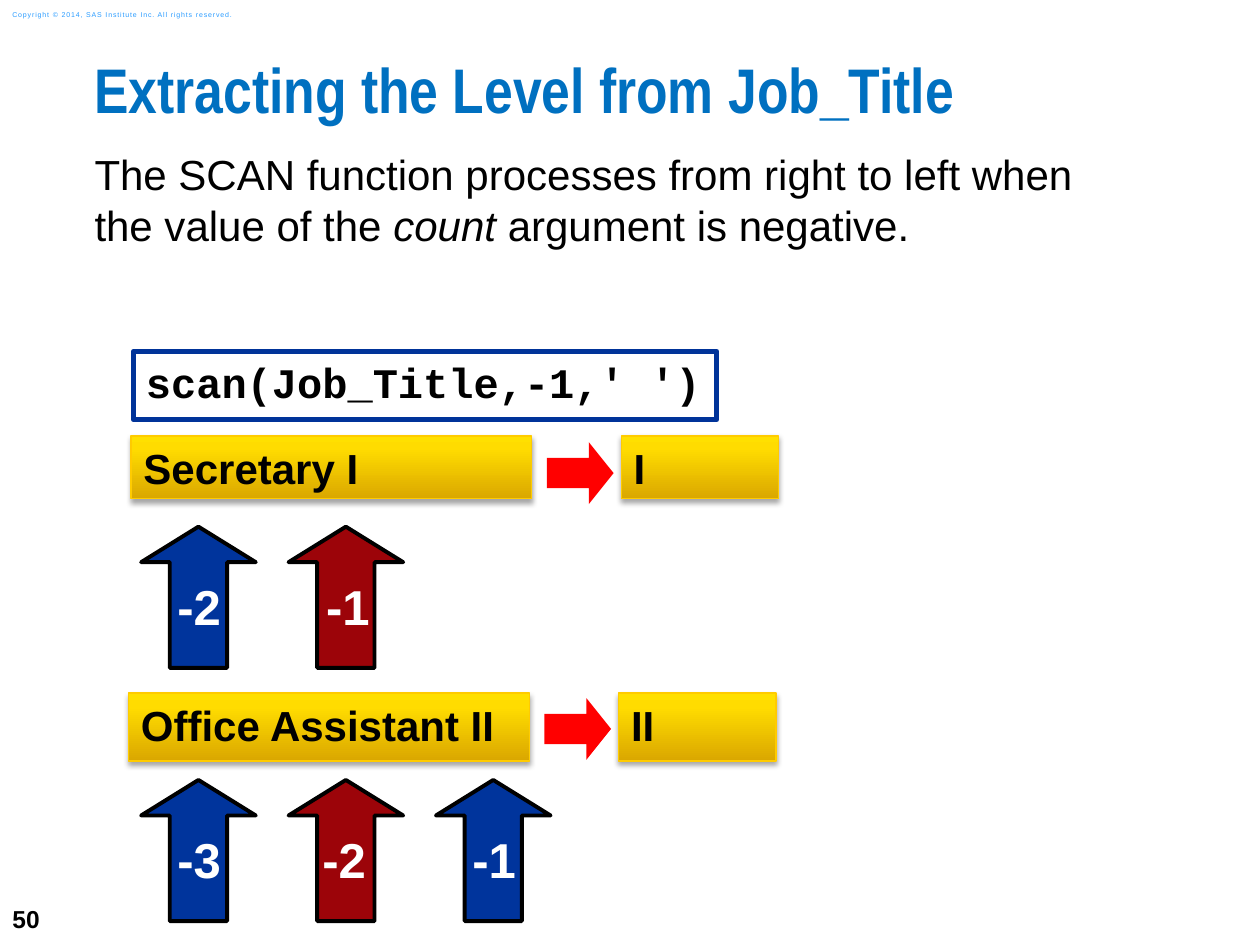
from pptx import Presentation
from pptx.dml.color import RGBColor
from pptx.enum.shapes import MSO_SHAPE as Shape
from pptx.enum.text import MSO_ANCHOR as Anchor, PP_ALIGN as Align
from pptx.oxml import parse_xml
from pptx.oxml.ns import nsdecls, qn
from pptx.util import Inches, Pt

INK = {
    "black": "000000", "white": "FFFFFF", "title": "0070C0", "copy": "2A9CFF",
    "frame": "003399", "edge": "FFCB00", "red": "FF0000",
    "blue": "00349C", "wine": "9C0409",
}
GOLD = [(0, "DAA700"), (80, "FFDC00"), (100, "FFE000")]

deck = Presentation()
deck.slide_width, deck.slide_height = Inches(10), Inches(7.5)
slide = deck.slides.add_slide(deck.slide_layouts[6])


def write(item, parts, size, ink="black", bold=True, face="Arial",
          anchor=Anchor.TOP, pad=(0.1, 0.05), wrap=False):
    """Fill the first paragraph with runs; parts are (text, italic) pairs."""
    frame = item.text_frame
    frame.word_wrap = wrap
    frame.vertical_anchor = anchor
    frame.margin_left = frame.margin_right = Inches(pad[0])
    frame.margin_top = frame.margin_bottom = Inches(pad[1])
    para = frame.paragraphs[0]
    para.alignment = Align.LEFT
    for text, slant in parts:
        if text == "\n":
            para.add_line_break()
            continue
        run = para.add_run()
        run.text = text
        font = run.font
        font.name, font.size, font.bold, font.italic = face, Pt(size), bold, slant
        font.color.rgb = RGBColor.from_string(INK[ink])
    return para


def draw(kind, box, fill=None, line=None, width=0.75):
    """Add a preset shape; without a fill colour it is gold with a shadow."""
    item = slide.shapes.add_shape(kind, *map(Inches, box))
    item.shadow.inherit = False
    if fill:
        item.fill.solid()
        item.fill.fore_color.rgb = RGBColor.from_string(INK[fill])
    else:
        stops = "".join(f'<a:gs pos="{pos * 1000}"><a:srgbClr val="{tone}"/></a:gs>'
                        for pos, tone in GOLD)
        props = item._element.spPr
        props.find(qn("a:prstGeom")).addnext(parse_xml(
            f'<a:gradFill {nsdecls("a")} rotWithShape="1"><a:gsLst>{stops}</a:gsLst>'
            '<a:lin ang="16200000" scaled="0"/></a:gradFill>'))
        props.find(qn("a:effectLst")).append(parse_xml(
            f'<a:outerShdw {nsdecls("a")} blurRad="{Pt(3.1)}" dist="{Pt(1.8)}" '
            'dir="5400000" rotWithShape="0"><a:srgbClr val="000000">'
            '<a:alpha val="35000"/></a:srgbClr></a:outerShdw>'))
    if line:
        item.line.color.rgb = RGBColor.from_string(INK[line])
        item.line.width = Pt(width)
    else:
        item.line.fill.background()
    return item


# Page number, copyright, title and body
page = slide.shapes.add_textbox(*map(Inches, (0, 7.08, 0.58, 0.42)))
write(page, [("50", False)], 14, anchor=Anchor.MIDDLE)

rights = slide.shapes.add_textbox(*map(Inches, (0, 0.03, 2.11, 0.17)))
para = write(rights, [("Copyright © 2014, SAS Institute Inc. All rights reserved.", False)],
             4, "copy", False, anchor=Anchor.MIDDLE)
para.runs[0]._r.get_or_add_rPr().set("spc", "50")

title = slide.shapes.add_textbox(*map(Inches, (0.75, 0.5, 9.25, 0.74)))
para = write(title, [("Extracting the Level from Job_Title", False)], 36, "title",
             face="Arial Narrow", pad=(0, 0), wrap=True)
para.line_spacing = 0.83

body = slide.shapes.add_textbox(*map(Inches, (0.75, 1.18, 8.58, 4.66)))
write(body, [("The SCAN function processes from right to left when", False), ("\n", False),
             ("the value of the ", False), ("count", True),
             (" argument is negative.", False)],
      24, bold=False, pad=(0, 0), wrap=True)

# Code line
code = draw(Shape.RECTANGLE, (1.06, 2.79, 4.63, 0.54), "white", "frame", 3)
para = write(code, [("scan(Job_Title,-1,' ')", False)], 24, face="Courier New",
             pad=(0.1, 0.1))
para.line_spacing = 0.85

# Each example: job title, arrow, result
jobs = [
    ("Secretary I", "I", 1.04, 3.46, 0.5, 3.51),
    ("Office Assistant II", "II", 1.02, 5.5, 0.54, 5.54),
]
for job, level, left, top, high, mid in jobs:
    for text, x, wide in ((job, left, 3.18), (level, left + 3.89, 1.25)):
        card = draw(Shape.RECTANGLE, (x, top, wide, high), line="edge")
        write(card, [(text, False)], 24, wrap=True)
    arrow = draw(Shape.RIGHT_ARROW, (left + 3.3, mid, 0.53, 0.49), "red")
    arrow.adjustments[0], arrow.adjustments[1] = 0.49, 0.4

# Word positions counted from the right: count, fill, label offset
rows = [
    (4.18, [("-2", "blue", 0.19), ("-1", "wine", 0.2)]),
    (6.19, [("-3", "blue", 0.19), ("-2", "wine", 0.17), ("-1", "blue", 0.19)]),
]
for top, marks in rows:
    for col, (count, fill, shift) in enumerate(marks):
        left = 1.12 + 1.17 * col
        arrow = draw(Shape.UP_ARROW, (left, top, 0.91, 1.12), fill, "black", 2.25)
        arrow.adjustments[0], arrow.adjustments[1] = 0.5, 0.31
        label = slide.shapes.add_textbox(
            *map(Inches, (left + shift, top + 0.34, 0.55, 0.57)))
        write(label, [(count, False)], 28, "white", anchor=Anchor.BOTTOM)

deck.save("out.pptx")
